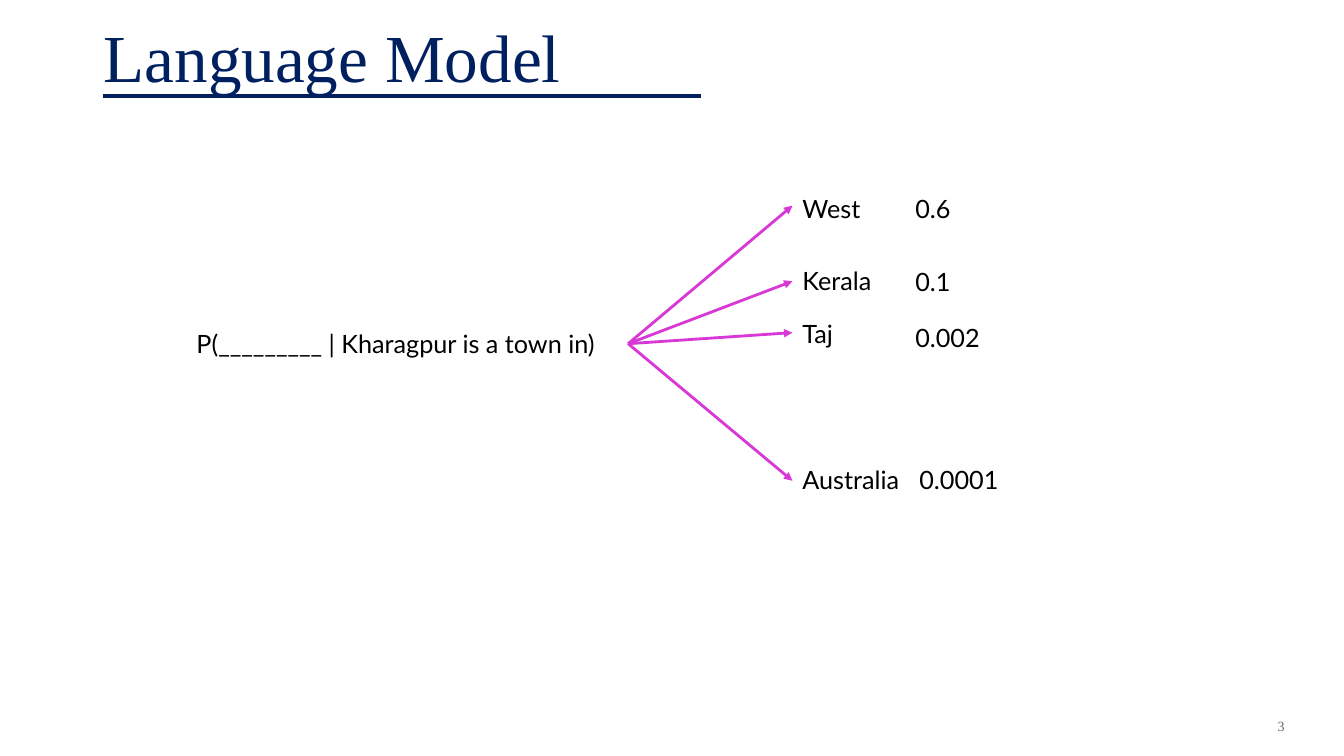
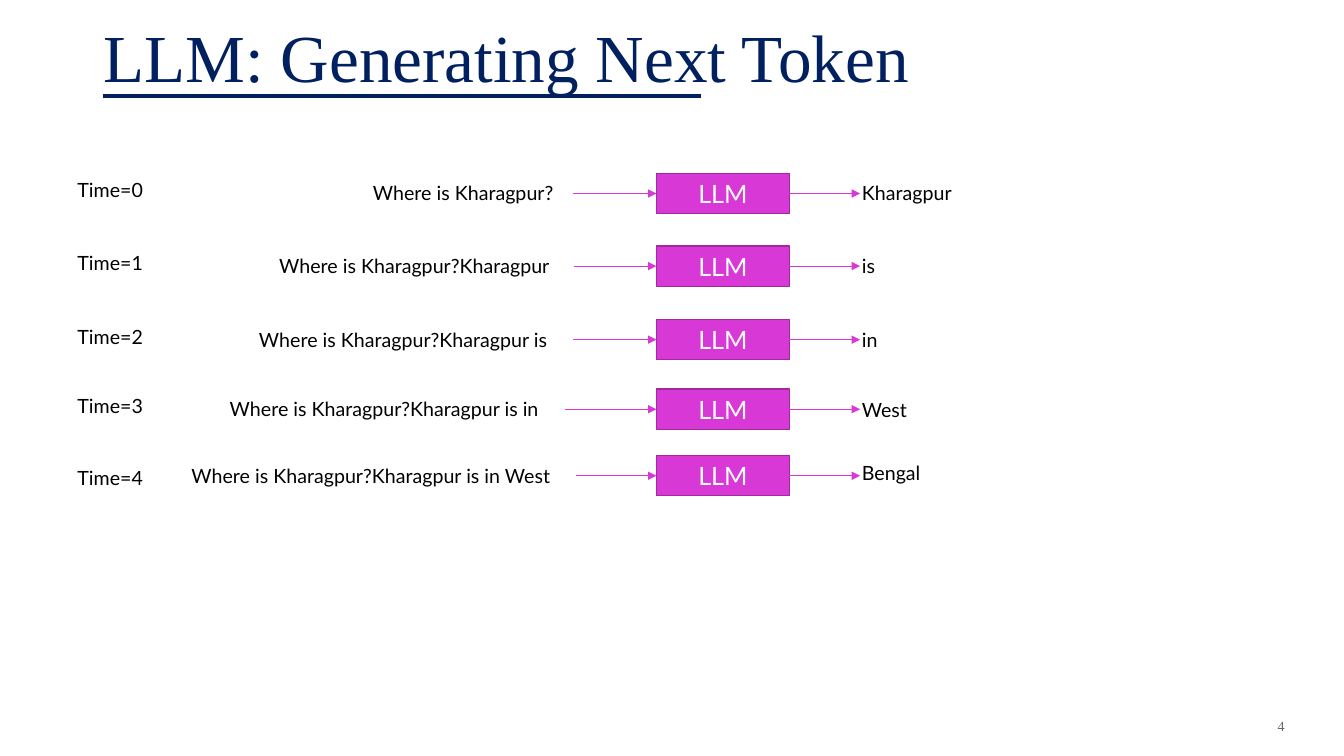
from lxml import etree
from pptx import Presentation
from pptx.dml.color import RGBColor
from pptx.enum.shapes import MSO_CONNECTOR, MSO_SHAPE
from pptx.enum.text import MSO_ANCHOR, PP_ALIGN
from pptx.oxml.ns import qn
from pptx.util import Inches, Pt

STRAIGHT = MSO_CONNECTOR.STRAIGHT
RECTANGLE = MSO_SHAPE.RECTANGLE
TOP, MIDDLE, BOTTOM = MSO_ANCHOR.TOP, MSO_ANCHOR.MIDDLE, MSO_ANCHOR.BOTTOM
LEFT, CENTER, RIGHT = PP_ALIGN.LEFT, PP_ALIGN.CENTER, PP_ALIGN.RIGHT

COLORS = {
    "title": "002060", "text": "000000", "number": "666666",
    "accent": "D838D6", "accent_edge": "A0299E", "white": "FFFFFF",
}
STYLES = {
    "title": {"name": "Times New Roman", "size": Pt(48), "color": "title"},
    "number": {"name": "Times New Roman", "size": Pt(10), "color": "number"},
    "body": {"name": "Lato", "size": Pt(18), "color": "text"},
    "step": {"name": "Lato", "size": Pt(14), "color": "text"},
    "model": {"name": "Lato", "size": Pt(18), "color": "white"},
}

FIRST_NUMBER = 3
MODEL_TITLE = "Language Model"
TOKEN_TITLE = "LLM: Generating Next Token"

CONDITION = "P(_________ | Kharagpur is a town in)"
FAN_ORIGIN = (6.23, 3.41)
FAN_END = 7.86
CANDIDATES = [
    # word, word top, arrow end, probability, probability left, probability top
    ("West", 1.87, 2.04, "0.6", 8.98, 1.87),
    ("Kerala", 2.58, 2.79, "0.1", 8.98, 2.59),
    ("Taj", 3.11, 3.3, "0.002", 8.98, 3.15),
    ("Australia", 4.56, 4.77, "0.0001", 9.02, 4.56),
][:]

QUESTION = "Where is Kharagpur?"
STEPS = [
    ("Kharagpur", 1.72, 1.72, 3.6, 5.68, 1.75),
    ("is", 2.44, 2.44, 2.67, 5.69, 2.47),
    ("in", 3.17, 3.17, 2.47, 5.68, 3.2),
    ("West", 3.86, 3.86, 2.18, 5.6, 3.9),
    ("Bengal", 4.52, 4.57, 1.8, 5.71, 4.52),
]
TIME_LEFT, MODEL_LEFT, ANSWER_LEFT = 0.67, 6.51, 8.45
MODEL_WIDTH, MODEL_HEIGHT, ARROW_LENGTH = 1.32, 0.4, 0.7


def write(shape, text, style, align=LEFT, anchor=TOP):
    frame = shape.text_frame
    frame.word_wrap = True
    frame.vertical_anchor = anchor
    paragraph = frame.paragraphs[0]
    paragraph.alignment = align
    run = paragraph.add_run()
    run.text = text
    for key, value in STYLES[style].items():
        if key == "color":
            run.font.color.rgb = RGBColor.from_string(COLORS[value])
        else:
            setattr(run.font, key, value)
    return run


def add_label(slide, text, style, left, top, width, height=0.4, **layout):
    box = slide.shapes.add_textbox(*map(Inches, (left, top, width, height)))
    return write(box, text, style, **layout)


def add_line(slide, start, end, color, weight, arrow=True):
    line = slide.shapes.add_connector(STRAIGHT, *map(Inches, (*start, *end)))
    line.line.color.rgb = RGBColor.from_string(COLORS[color])
    line.line.width = Pt(weight)
    if arrow:
        etree.SubElement(line.line._get_or_add_ln(), qn("a:tailEnd"), type="triangle")
    etree.SubElement(line._element.spPr, qn("a:effectLst"))


def add_model(slide, top):
    model = slide.shapes.add_shape(
        RECTANGLE, *map(Inches, (MODEL_LEFT, top, MODEL_WIDTH, MODEL_HEIGHT)))
    model.shadow.inherit = False
    model.fill.solid()
    model.fill.fore_color.rgb = RGBColor.from_string(COLORS["accent"])
    model.line.color.rgb = RGBColor.from_string(COLORS["accent_edge"])
    model.line.width = Pt(0.85)
    write(model, "LLM", "model", CENTER, MIDDLE)


def add_slide(prs, title):
    slide = prs.slides.add_slide(prs.slide_layouts[6])
    add_line(slide, (1.02, 0.95), (6.95, 0.95), "title", 2.5, arrow=False)
    add_label(slide, title, "title", 0.93, -0.22, 11.53, 1.22, anchor=BOTTOM)
    number = str(FIRST_NUMBER + len(prs.slides) - 1)
    field = add_label(slide, number, "number", 10.92, 6.95, 1.92, 0.5,
                      align=RIGHT, anchor=MIDDLE)._r
    field.tag = qn("a:fld")
    field.set("id", "{B6F15528-21DE-4FAA-801E-634DDDAF4B2B}")
    field.set("type", "slidenum")
    return slide


def build_language_model(prs):
    slide = add_slide(prs, MODEL_TITLE)
    add_label(slide, CONDITION, "body", 1.85, 3.21, 4.38)
    for word, word_top, arrow_end, chance, chance_left, chance_top in CANDIDATES:
        add_line(slide, FAN_ORIGIN, (FAN_END, arrow_end), "accent", 2)
        add_label(slide, word, "body", FAN_END, word_top, 1.25)
        add_label(slide, chance, "body", chance_left, chance_top, 1.1)


def build_next_token(prs):
    slide = add_slide(prs, TOKEN_TITLE)
    model_right = MODEL_LEFT + MODEL_WIDTH
    answers = [step[0] for step in STEPS]
    for time, (answer, top, time_top, prompt_left, prompt_right, answer_top) in enumerate(STEPS):
        prompt = QUESTION + " ".join(answers[:time])
        middle = top + MODEL_HEIGHT / 2
        add_label(slide, f"Time={time}", "step", TIME_LEFT, time_top, 1, 0.34)
        add_label(slide, prompt, "step", prompt_left, top + 0.03,
                  prompt_right - prompt_left, 0.34)
        add_model(slide, top)
        add_line(slide, (prompt_right, middle), (MODEL_LEFT, middle), "accent", 0.75)
        add_line(slide, (model_right, middle), (model_right + ARROW_LENGTH, middle),
                 "accent", 0.75)
        add_label(slide, answer, "step", ANSWER_LEFT, answer_top, 1.45, 0.34)


def main():
    prs = Presentation()
    prs.slide_width, prs.slide_height = Inches(13.33), Inches(7.5)
    prs.element.set("firstSlideNum", str(FIRST_NUMBER))
    build_language_model(prs)
    build_next_token(prs)
    prs.save("out.pptx")


if __name__ == "__main__":
    main()
